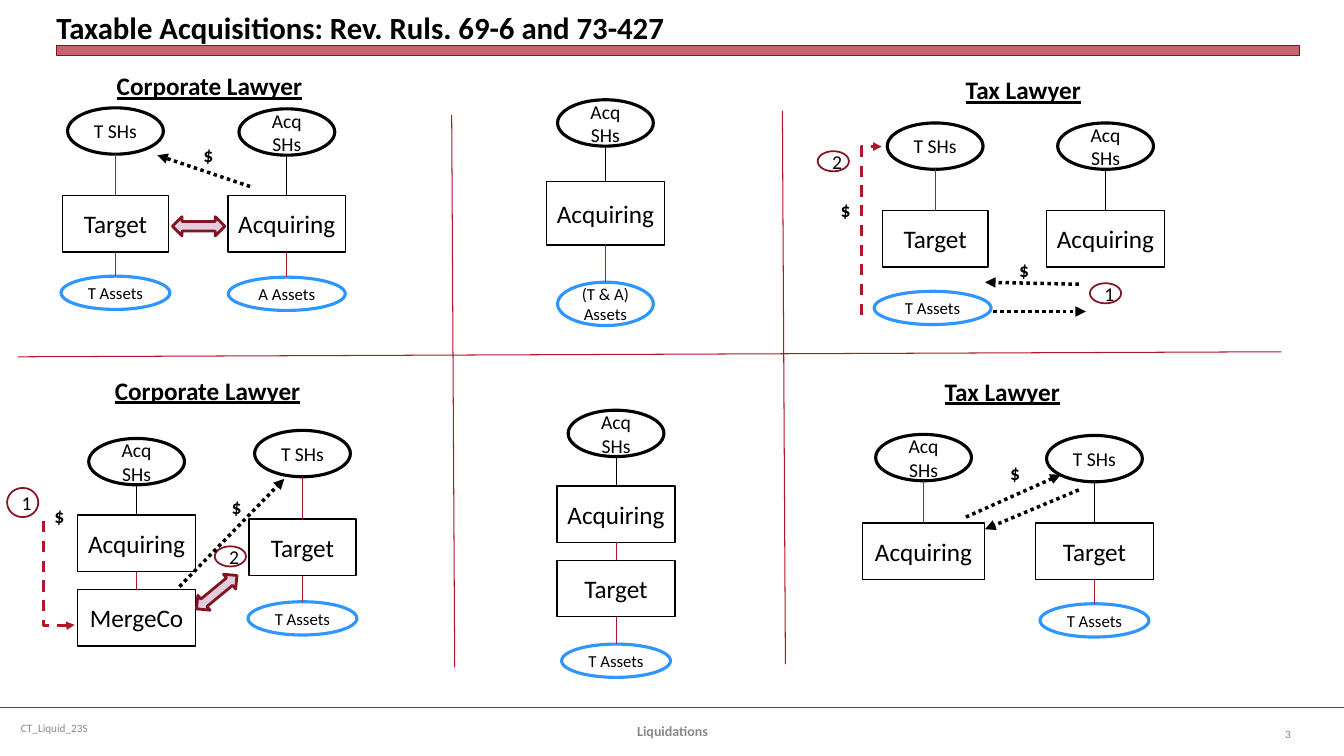
from lxml.etree import SubElement
from pptx import Presentation
from pptx.dml.color import RGBColor
from pptx.enum.dml import MSO_LINE as Dash
from pptx.enum.shapes import MSO_CONNECTOR as Conn, MSO_SHAPE as Geo
from pptx.enum.text import MSO_ANCHOR as Anchor, MSO_AUTO_SIZE as Auto, PP_ALIGN as Align
from pptx.oxml.ns import qn
from pptx.util import Inches, Pt

BLACK = RGBColor(0x00, 0x00, 0x00)
WHITE = RGBColor(0xFF, 0xFF, 0xFF)
RED = RGBColor(0xB0, 0x18, 0x2A)
BRICK = RGBColor(0xB0, 0x1C, 0x2E)
WINE = RGBColor(0x82, 0x15, 0x22)
PINK = RGBColor(0xE3, 0xCC, 0xDD)
BLUE = RGBColor(0x30, 0x96, 0xFF)
GREY = RGBColor(0x89, 0x89, 0x89)
DIM = RGBColor(0x80, 0x80, 0x80)

# The grid: square cells, 133.3 columns by 75 rows
COLS, ROWS = 133.3, 75
WIDE, HIGH = Inches(13.33), Inches(7.5)
CELL = WIDE / COLS

# Looks of a node: outline, text size, line colour, line width, columns, rows
OWNER = (Geo.OVAL, 14, BLACK, 2.25, 9.5, 4.6)
FIRM = (Geo.RECTANGLE, 18, BLACK, 1, 11.7, 5.6)
ASSET = (Geo.OVAL, 12, BLUE, 2.25, 10.8, 3.3)


def write(frame, text, size, color=BLACK, align=Align.CENTER, bold=False, under=False):
    for n, words in enumerate(text.split("\n")):
        para = frame.paragraphs[0] if n == 0 else frame.add_paragraph()
        para.alignment = align
        run = para.add_run()
        run.text = words
        font = run.font
        font.name, font.size, font.color.rgb = "Calibri", Pt(size), color
        font.bold, font.underline = bold, under


class Box:
    """A region of the slide; its parts are placed from its corner in grid cells."""

    def __init__(self, shapes, left=0, top=0):
        self.shapes, self.left, self.top = shapes, left, top

    def spot(self, x, y):
        return round((self.left + x) * CELL), round((self.top + y) * CELL)

    def shape(self, geo, x, y, w, h, line, width, fill=None):
        item = self.shapes.add_shape(geo, *self.spot(x, y), round(w * CELL), round(h * CELL))
        item.shadow.inherit = False
        item.line.color.rgb, item.line.width = line, Pt(width)
        if fill is None:
            item.fill.background()
        else:
            item.fill.solid()
            item.fill.fore_color.rgb = fill
        item.text_frame.vertical_anchor = Anchor.MIDDLE
        return item

    def text(self, words, x, y, w, h, size, anchor=Anchor.MIDDLE, wrap=True, **style):
        item = self.shapes.add_textbox(*self.spot(x, y), round(w * CELL), round(h * CELL))
        frame = item.text_frame
        frame.word_wrap, frame.vertical_anchor = wrap, anchor
        if not wrap:
            frame.auto_size = Auto.SHAPE_TO_FIT_TEXT
        write(frame, words, size, align=style.pop("align", Align.LEFT), **style)
        return frame

    def head(self, words, x, y, w):
        self.text(words, x, y, w, 4, 18, Anchor.TOP, False, bold=True, under=True)

    def cash(self, x, y):
        self.text("$", x, y, 3, 3.4, 14, Anchor.TOP, False, bold=True)

    def badge(self, step, x, y, h=2):
        write(self.shape(Geo.OVAL, x, y, 3.1, h, WINE, 1.25, WHITE).text_frame, step, 14)

    def swap(self, x, y, turn=0):
        self.shape(Geo.LEFT_RIGHT_ARROW, x, y, 5.2, 1.9, WINE, 2, PINK).rotation = turn

    def line(self, x1, y1, x2, y2, color=RED, width=0.75, dash=None, kind=Conn.STRAIGHT):
        item = self.shapes.add_connector(kind, *self.spot(x1, y1), *self.spot(x2, y2))
        item.line.color.rgb, item.line.width = color, Pt(width)
        if dash:
            item.line.dash_style = dash
            SubElement(item.line._get_or_add_ln(), qn("a:tailEnd"), type="triangle")
        SubElement(item._element.spPr, qn("a:effectLst"))
        return item

    def flow(self, x1, y1, x2, y2):
        self.line(x1, y1, x2, y2, BLACK, 2.5, Dash.ROUND_DOT)

    def elbow(self, x1, y1, x2, y2, turn, preset, bend=None):
        """Dashed bent arrow; the ends are given before the turn in degrees."""
        props = self.line(x1, y1, x2, y2, RED, 2, Dash.DASH, Conn.ELBOW)._element.spPr
        props.find(qn("a:xfrm")).set("rot", str(turn * 60000))
        geom = props.find(qn("a:prstGeom"))
        geom.set("prst", preset)
        if bend:
            SubElement(geom.find(qn("a:avLst")), qn("a:gd"), name="adj1", fmla=f"val {bend}")

    def stack(self, mid, *nodes):
        """Nodes in a column: look, label, top, link colour, then own width and height."""
        last = None
        for look, label, top, link, *size in nodes:
            geo, font, color, width, w, h = look
            w, h = (size + [w, h][len(size):])
            node = self.shape(geo, mid - w / 2, top, w, h, color, width)
            write(node.text_frame, label, font)
            if last:
                tie = self.line(mid, foot, mid, top, link)
                if last_geo == Geo.RECTANGLE:
                    tie.begin_connect(last, 2)
                if geo == Geo.RECTANGLE:
                    tie.end_connect(node, 0)
            last, last_geo, foot = node, geo, top + h


def frame(box):
    # Title with its bar
    title = box.text("Taxable Acquisitions: Rev. Ruls. 69-6 and 73-427", 5.6, 0.5, 123.3, 4,
                     22, Anchor.BOTTOM, bold=True)
    title.margin_left = title.margin_right = title.margin_top = title.margin_bottom = 0
    bar = box.shape(Geo.RECTANGLE, 5.6, 4.5, 123.3, 1, WINE, 0, BRICK)
    tint = bar._element.spPr.find(qn("a:solidFill"))[0]
    SubElement(tint, qn("a:alpha"), val="69000")
    # Footer
    box.line(0, 70.2, COLS, 70.2, BRICK, 1.25)
    box.text("CT_Liquid_23S", 1.1, 70.2, 34.4, 4, 8, color=GREY)
    box.text("Liquidations", 45.6, 70.5, 42.2, 4, 10, color=GREY, align=Align.CENTER, bold=True)
    box.text("3", 122.3, 70.8, 6.7, 4, 8, color=DIM, align=Align.RIGHT)
    # Dividers between the six panels
    box.line(1.8, 35.4, 127.1, 34.9)
    box.line(44.8, 11.4, 45.1, 66.2)
    box.line(77.6, 11, 77.9, 65.9)


def merger(box):
    box.head("Corporate Lawyer", 10.6, 1.5, 20.6)
    box.stack(11.45, (OWNER, "T SHs", 5.7, None), (FIRM, "Target", 14.4, RED, 10.5),
              (ASSET, "T Assets", 22.4, RED))
    box.stack(28.45, (OWNER, "Acq SHs", 5.8, None), (FIRM, "Acquiring", 14.4, BLACK),
              (ASSET, "A Assets", 22.5, RED, 11.6))
    box.flow(24.8, 13.5, 15.6, 10.4)
    box.cash(19.2, 8.7)
    box.swap(17.1, 16.5)


def merged(box):
    box.stack(15.05, (OWNER, "Acq\nSHs", 4.9, None), (FIRM, "Acquiring", 13, BLACK, 11.7, 6.3),
              (ASSET, "(T & A) Assets", 23, RED, 9.5, 4.3))


def sale(box):
    box.head("Tax Lawyer", 16.8, 1.9, 13.5)
    box.stack(14.75, (OWNER, "T SHs", 7.2, None), (FIRM, "Target", 15.9, RED, 10.5))
    box.stack(14.5, (ASSET, "T Assets", 23.9, None, 11.6))
    box.stack(31.65, (OWNER, "Acq SHs", 7.2, None), (FIRM, "Acquiring", 15.9, BLACK))
    box.flow(20.5, 25.9, 29.7, 25.9)
    box.flow(29, 23.2, 19.7, 23)
    box.elbow(16.8, 18.9, 0.1, 16.9, 90, "bentConnector2")
    box.badge("1", 30.1, 23.1)
    box.badge("2", 3.1, 10)
    box.cash(22.1, 20.1)
    box.cash(4.4, 14.1)


def reverse(box):
    box.head("Corporate Lawyer", 10.4, 1.7, 20.6)
    box.stack(13.55, (OWNER, "Acq SHs", 8.5, None), (FIRM, "Acquiring", 16.1, BLACK),
              (FIRM, "MergeCo", 23.5, RED))
    box.stack(30, (OWNER, "T SHs", 7.7, None), (FIRM, "Target", 16.5, RED, 10.6),
              (ASSET, "T Assets", 24.7, RED))
    box.elbow(11, 20.3, 0.7, 23.4, 270, "bentConnector3", 100700)
    box.cash(4.4, 14.5)
    box.badge("1", 0.7, 13.4, 2.9)
    box.swap(18.9, 22.8, 320.5)
    box.badge("2", 21.3, 19.2)
    box.flow(17.8, 23.2, 28.2, 12.5)
    box.cash(22, 13.6)


def owned(box):
    box.stack(16.1, (OWNER, "Acq SHs", 5.7, None), (FIRM, "Acquiring", 13.2, BLACK),
              (FIRM, "Target", 20.6, RED), (ASSET, "T Assets", 28.9, RED))


def stock(box):
    box.head("Tax Lawyer", 14.7, 1.8, 13.5)
    box.stack(13.6, (OWNER, "Acq SHs", 8.1, None), (FIRM, "Acquiring", 16.9, RED, 12.1))
    box.stack(30.55, (OWNER, "T SHs", 8.2, None), (FIRM, "Target", 16.9, BLACK),
              (ASSET, "T Assets", 24.9, RED))
    box.flow(17.8, 16.3, 27.2, 12.1)
    box.flow(29, 13.6, 19.7, 17.5)
    box.cash(21.2, 10.2)


def main():
    deck = Presentation()
    deck.slide_width, deck.slide_height = WIDE, HIGH
    shapes = deck.slides.add_slide(deck.slide_layouts[6]).shapes
    frame(Box(shapes))
    # Two rows of three panels
    panels = ((merger, merged, sale), (reverse, owned, stock))
    for top, row in zip((5, 35), panels):
        for left, draw in zip((0, 45, 78), row):
            draw(Box(shapes, left, top))
    deck.save("out.pptx")


if __name__ == "__main__":
    main()
